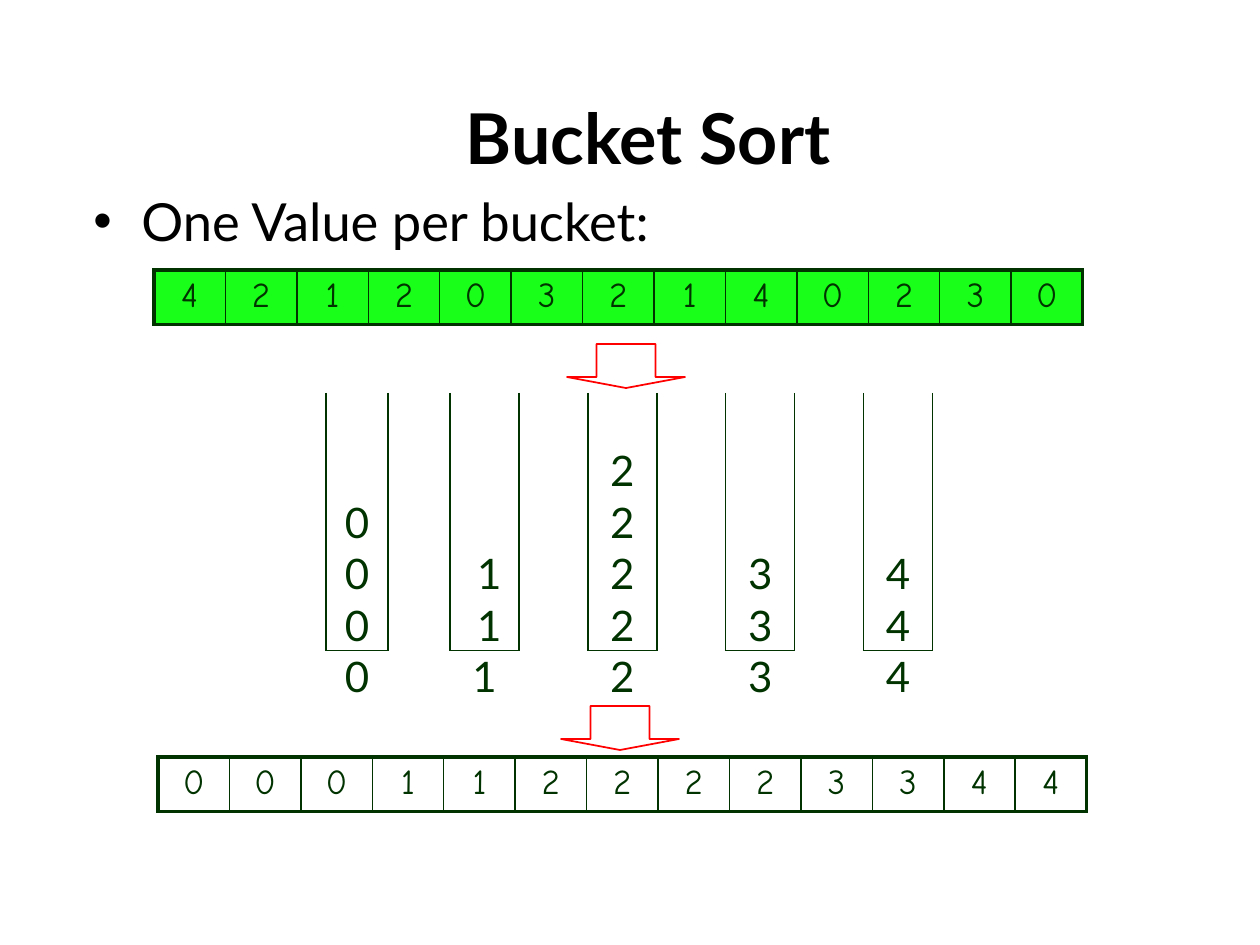
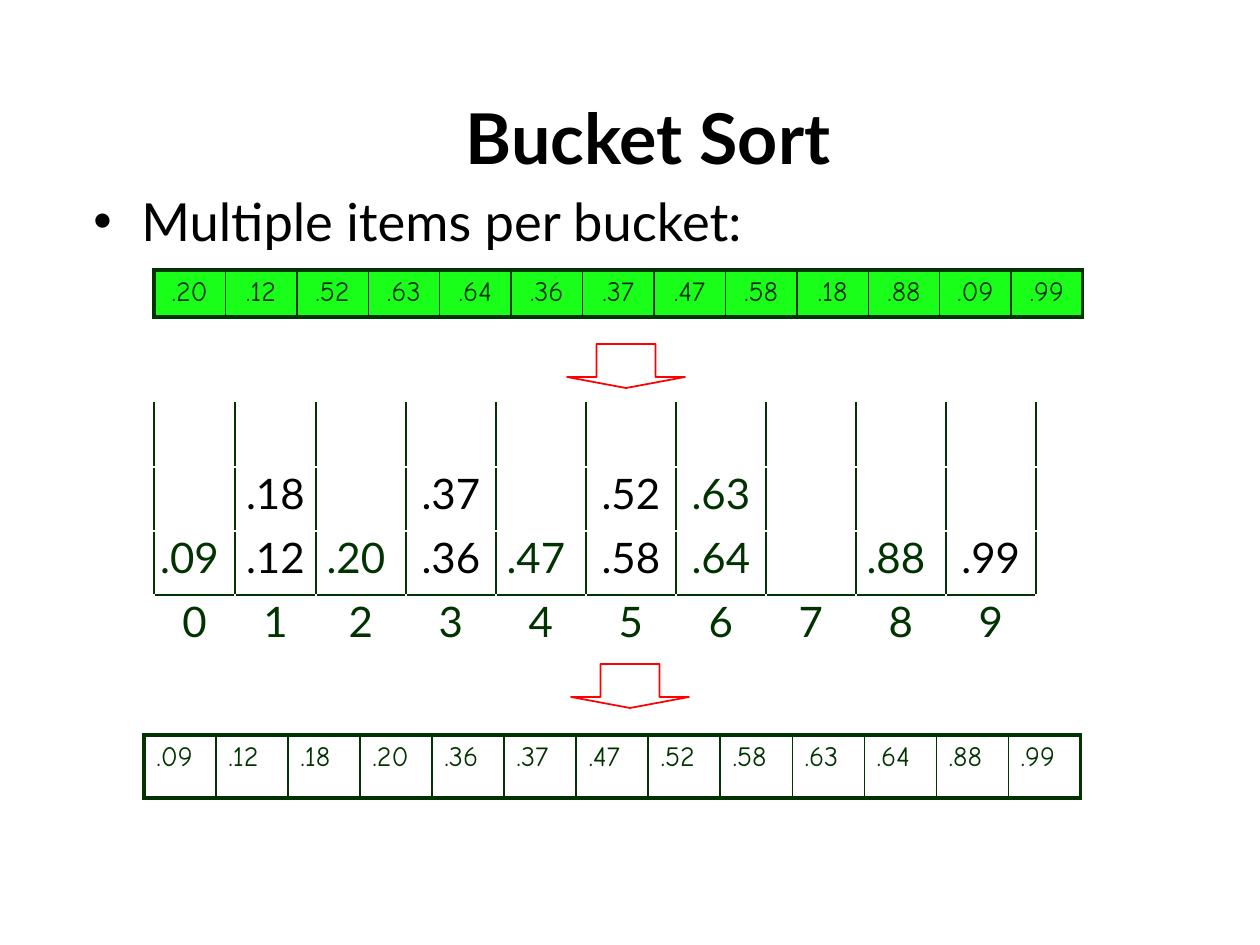
import pptx
import pptx.dml.color
import pptx.enum.shapes
import pptx.enum.text
import pptx.oxml
import pptx.oxml.ns
import pptx.util
from lxml import etree

PX = 914400 / 126
TITLE_ONLY = 5
NO_STYLE = "{2D5ABB26-0587-4C30-8999-92F81FD0307C}"
BODY_FONT, ARRAY_FONT = "Lato", "Comic Neue"
BLACK, WHITE, RED = "000000", "FFFFFF", "FF0000"
DARK_GREEN, BRIGHT_GREEN = "003300", "1AFF1A"
THIN, THICK = 1, 2.25
SIDES = ("L", "R", "T", "B")
CENTER = pptx.enum.text.PP_ALIGN.CENTER
LEFT = pptx.enum.text.PP_ALIGN.LEFT
SHIFT = 10  # extra margin that nudges a value off the cell centre


def px(length):
    return pptx.util.Emu(round(length * PX))


def rgb(color):
    return pptx.dml.color.RGBColor.from_string(color)


def box_at(left, top, width, height):
    return [px(length) for length in (left, top, width, height)]


def add_run(para, text, size, color, font=BODY_FONT, bold=False):
    run = para.add_run()
    run.text = text
    run.font.size = pptx.util.Pt(size)
    run.font.name = font
    run.font.bold = bold
    run.font.color.rgb = rgb(color)


# Title and bullet line shared by the slides
def add_page(deck, bullet_text):
    page = deck.slides.add_slide(deck.slide_layouts[TITLE_ONLY])
    title = page.shapes.title
    title.left, title.top, title.width, title.height = box_at(81, 58, 1134, 158)
    title.text_frame.vertical_anchor = pptx.enum.text.MSO_ANCHOR.MIDDLE
    para = title.text_frame.paragraphs[0]
    para.alignment = CENTER
    add_run(para, "Bucket Sort", 40, BLACK, bold=True)

    body = page.shapes.add_textbox(*box_at(81, 183, 1134, 536))
    body.text_frame.word_wrap = True
    para = body.text_frame.paragraphs[0]
    add_run(para, bullet_text, 30, BLACK)
    properties = para._p.get_or_add_pPr()
    properties.set("marL", str(px(48)))
    properties.set("indent", str(px(-48)))
    bullet_font = etree.SubElement(properties, pptx.oxml.ns.qn("a:buFont"))
    bullet_font.set("typeface", "Arial")
    bullet = etree.SubElement(properties, pptx.oxml.ns.qn("a:buChar"))
    bullet.set("char", "•")
    return page


def add_down_arrow(page, left, top):
    arrow = page.shapes.add_shape(
        pptx.enum.shapes.MSO_SHAPE.DOWN_ARROW, *box_at(left, top, 118, 44))
    arrow.adjustments[0] = 0.5
    arrow.adjustments[1] = 0.25
    arrow.shadow.inherit = False
    arrow.fill.background()
    arrow.line.color.rgb = rgb(RED)
    arrow.line.width = pptx.util.Pt(1)


def add_plain_table(page, left, top, widths, heights):
    frame = page.shapes.add_table(
        len(heights), len(widths), *box_at(left, top, sum(widths), sum(heights)))
    table = frame.table
    table.first_row = table.horz_banding = False
    style = table._tbl.tblPr.find(pptx.oxml.ns.qn("a:tableStyleId"))
    style.text = NO_STYLE
    for column, width in zip(table.columns, widths):
        column.width = px(width)
    for row, height in zip(table.rows, heights):
        row.height = px(height)
    return table


def format_cell(cell, fill, borders):
    """Fill a cell and draw its borders, given as side: (color, points)."""
    if fill:
        cell.fill.solid()
        cell.fill.fore_color.rgb = rgb(fill)
    else:
        cell.fill.background()
    properties = cell._tc.get_or_add_tcPr()
    drawn_sides = [side for side in SIDES if side in borders]
    for position, side in enumerate(drawn_sides):
        color, points = borders[side]
        line = pptx.oxml.parse_xml(
            f'<a:ln{side} {pptx.oxml.ns.nsdecls("a")} w="{pptx.util.Pt(points)}">'
            f'<a:solidFill><a:srgbClr val="{color}"/></a:solidFill></a:ln{side}>')
        properties.insert(position, line)


# One-row array with a thick frame and thin dividers
def add_array(page, left, top, width, height, values, size, fill=None, align=CENTER):
    count = len(values)
    table = add_plain_table(page, left, top, [width / count] * count, [height])
    for index, value in enumerate(values):
        cell = table.cell(0, index)
        points = {"L": THICK if index == 0 else THIN,
                  "R": THICK if index == count - 1 else THIN,
                  "T": THICK, "B": THICK}
        format_cell(cell, fill, {side: (DARK_GREEN, points[side]) for side in SIDES})
        para = cell.text_frame.paragraphs[0]
        para.alignment = align
        add_run(para, value, size, DARK_GREEN, ARRAY_FONT)


def set_bucket_text(cell, text, color=DARK_GREEN, shift=0):
    cell.margin_left = px(1 + max(shift, 0))
    cell.margin_right = px(1 + max(-shift, 0))
    cell.margin_top, cell.margin_bottom = px(1), 0
    para = cell.text_frame.paragraphs[0]
    para.alignment = CENTER
    add_run(para, text, 24, color)


def add_buckets(page, left, top, widths, row_height, depth, buckets, backdrop=None):
    """Stack each bucket's items above its label; None stands for a gap column.

    A bucket is (label, items from top to bottom, color, shift)."""
    table = add_plain_table(page, left, top, widths, [row_height] * (depth + 1))
    wall = (DARK_GREEN, THIN)
    for column, bucket in enumerate(buckets):
        for row in range(depth + 1):
            borders = dict.fromkeys(SIDES, (backdrop, THIN)) if backdrop else {}
            if row < depth:
                borders.update(L=wall, R=wall)
            if bucket and row == depth - 1:
                borders["B"] = wall
            if bucket and row == depth:
                borders["T"] = wall
            format_cell(table.cell(row, column), backdrop, borders)
        if bucket:
            label, items, color, shift = bucket
            for row, item in enumerate(items, depth - len(items)):
                set_bucket_text(table.cell(row, column), item, color, shift)
            set_bucket_text(table.cell(depth, column), label)


def build_single_value_page(deck):
    page = add_page(deck, "One Value per bucket:")
    add_array(page, 154, 270, 929, 54, "4212032140230", 20, BRIGHT_GREEN)
    add_down_arrow(page, 567, 344)

    buckets = []
    for value, count in enumerate((3, 2, 4, 2, 2)):
        label = str(value)
        shift = SHIFT if value == 1 else 0
        buckets += [(label, [label] * count, DARK_GREEN, shift), None]
    add_buckets(page, 326, 393, [62] * 2 + [69] * 7, 51.5, 5, buckets[:-1])

    add_array(page, 158, 757, 929, 54, "0001122223344", 20)
    add_down_arrow(page, 561, 706)


def build_multiple_items_page(deck):
    page = add_page(deck, "Multiple items per bucket:")
    unsorted = ".20 .12 .52 .63 .64 .36 .37 .47 .58 .18 .88 .09 .99".split()
    add_array(page, 154, 270, 929, 47, unsorted, 16, BRIGHT_GREEN)
    add_down_arrow(page, 567, 344)

    buckets = [
        ("0", [".09"], DARK_GREEN, -SHIFT),
        ("1", [".18", ".12"], BLACK, 0),
        ("2", [".20"], DARK_GREEN, -SHIFT),
        ("3", [".37", ".36"], BLACK, 0),
        ("4", [".47"], DARK_GREEN, -SHIFT),
        ("5", [".52", ".58"], BLACK, 0),
        ("6", [".63", ".64"], DARK_GREEN, 0),
        ("7", [], DARK_GREEN, 0),
        ("8", [".88"], DARK_GREEN, -SHIFT),
        ("9", [".99"], BLACK, 0),
    ]
    add_buckets(page, 154, 403, [81] * 2 + [90] * 8, 64, 3, buckets, WHITE)

    add_array(page, 144, 735, 937, 63, sorted(unsorted), 16, align=LEFT)
    add_down_arrow(page, 571, 664)


def main():
    deck = pptx.Presentation()
    deck.slide_width, deck.slide_height = px(1260), px(945)
    build_single_value_page(deck)
    build_multiple_items_page(deck)
    deck.save("out.pptx")


if __name__ == "__main__":
    main()
